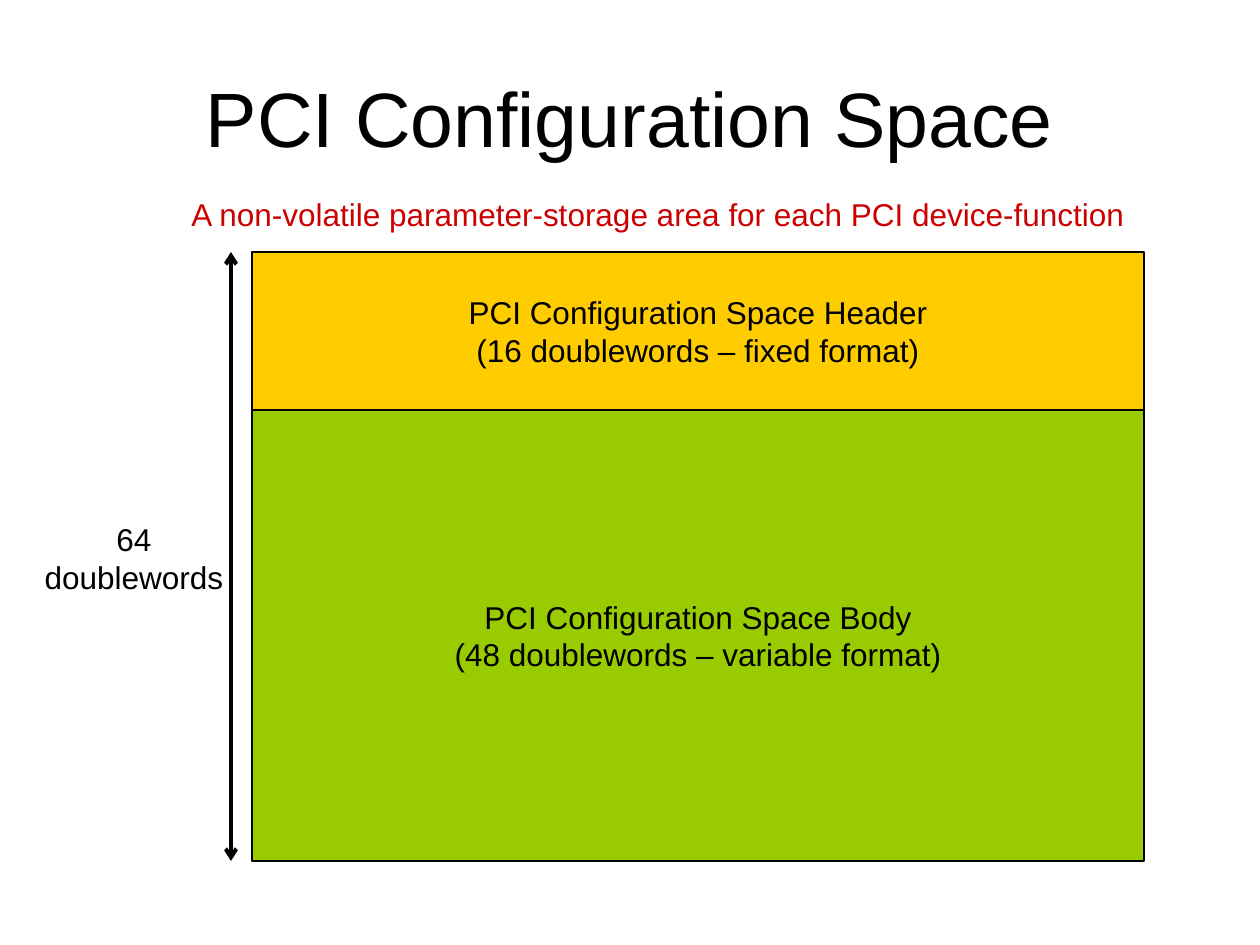
from dataclasses import dataclass

from lxml import etree
from pptx import Presentation
from pptx.dml.color import RGBColor
from pptx.enum.shapes import MSO_CONNECTOR, MSO_SHAPE
from pptx.enum.text import MSO_ANCHOR, PP_ALIGN
from pptx.oxml.ns import qn
from pptx.slide import Slide
from pptx.util import Emu, Pt

RECTANGLE = MSO_SHAPE.RECTANGLE
STRAIGHT = MSO_CONNECTOR.STRAIGHT
TOP, MIDDLE = MSO_ANCHOR.TOP, MSO_ANCHOR.MIDDLE
LEFT, CENTER = PP_ALIGN.LEFT, PP_ALIGN.CENTER
EMU_PER_PIXEL = 914400 / 126


@dataclass(frozen=True)
class Theme:
    font: str = "Arial"
    ink: str = "000000"
    accent: str = "CC0000"
    header: str = "FFCC00"
    body: str = "99CC00"
    title_size: float = 44
    text_size: float = 18
    outline: float = 0.75
    arrow: float = 2.25


@dataclass(frozen=True)
class Area:
    left: int
    top: int
    width: int
    height: int


@dataclass(frozen=True)
class Label:
    area: Area
    lines: tuple[str, ...]
    size: float
    color: str
    align: PP_ALIGN = CENTER
    anchor: MSO_ANCHOR = MIDDLE
    wrap: bool = False
    fill: str | None = None


THEME = Theme()
SPACE = Area(252, 252, 892, 609)
HEADER_HEIGHT = 158
ARROW_X = 231

HEADER = Area(SPACE.left, SPACE.top, SPACE.width, HEADER_HEIGHT)
BODY = Area(SPACE.left, SPACE.top + HEADER_HEIGHT,
            SPACE.width, SPACE.height - HEADER_HEIGHT)

LABELS = (
    Label(Area(63, 38, 1134, 158), ("PCI Configuration Space",),
          THEME.title_size, THEME.ink, wrap=True),
    Label(BODY, ("PCI Configuration Space Body", "(48 doublewords – variable format)"),
          THEME.text_size, THEME.ink, fill=THEME.body),
    Label(Area(32, 514, 204, 88), ("64", "doublewords"),
          THEME.text_size, THEME.ink, anchor=TOP),
    Label(HEADER, ("PCI Configuration Space Header", "(16 doublewords – fixed format)"),
          THEME.text_size, THEME.ink, fill=THEME.header),
    Label(Area(179, 189, 960, 50),
          ("A non-volatile parameter-storage area for each PCI device-function",),
          THEME.text_size, THEME.accent, align=LEFT, anchor=TOP),
)


def px(value: int) -> Emu:
    return Emu(round(value * EMU_PER_PIXEL))


def rgb(color: str) -> RGBColor:
    return RGBColor.from_string(color)


def draw_label(page: Slide, label: Label) -> None:
    area = label.area
    place = (px(area.left), px(area.top), px(area.width), px(area.height))
    if label.fill:
        box = page.shapes.add_shape(RECTANGLE, *place)
        box.shadow.inherit = False
        box.fill.solid()
        box.fill.fore_color.rgb = rgb(label.fill)
        box.line.color.rgb = rgb(THEME.ink)
        box.line.width = Pt(THEME.outline)
    else:
        box = page.shapes.add_textbox(*place)
    frame = box.text_frame
    frame.word_wrap = label.wrap
    frame.vertical_anchor = label.anchor
    for index, line in enumerate(label.lines):
        para = frame.add_paragraph() if index else frame.paragraphs[0]
        para.alignment = label.align
        span = para.add_run()
        span.text = line
        span.font.name = THEME.font
        span.font.size = Pt(label.size)
        span.font.color.rgb = rgb(label.color)


def draw_double_arrow(page: Slide, x: int, top: int, bottom: int) -> None:
    arrow = page.shapes.add_connector(STRAIGHT, px(x), px(top), px(x), px(bottom))
    arrow.line.color.rgb = rgb(THEME.ink)
    arrow.line.width = Pt(THEME.arrow)
    outline = arrow.line._get_or_add_ln()
    for end in ("a:headEnd", "a:tailEnd"):
        etree.SubElement(outline, qn(end), type="arrow")
    etree.SubElement(arrow._element.spPr, qn("a:effectLst"))


def main() -> None:
    deck = Presentation()
    deck.slide_width, deck.slide_height = px(1260), px(945)
    page = deck.slides.add_slide(deck.slide_layouts[6])
    for label in LABELS:
        draw_label(page, label)
    draw_double_arrow(page, ARROW_X, SPACE.top, SPACE.top + SPACE.height)
    deck.save("out.pptx")


main()
